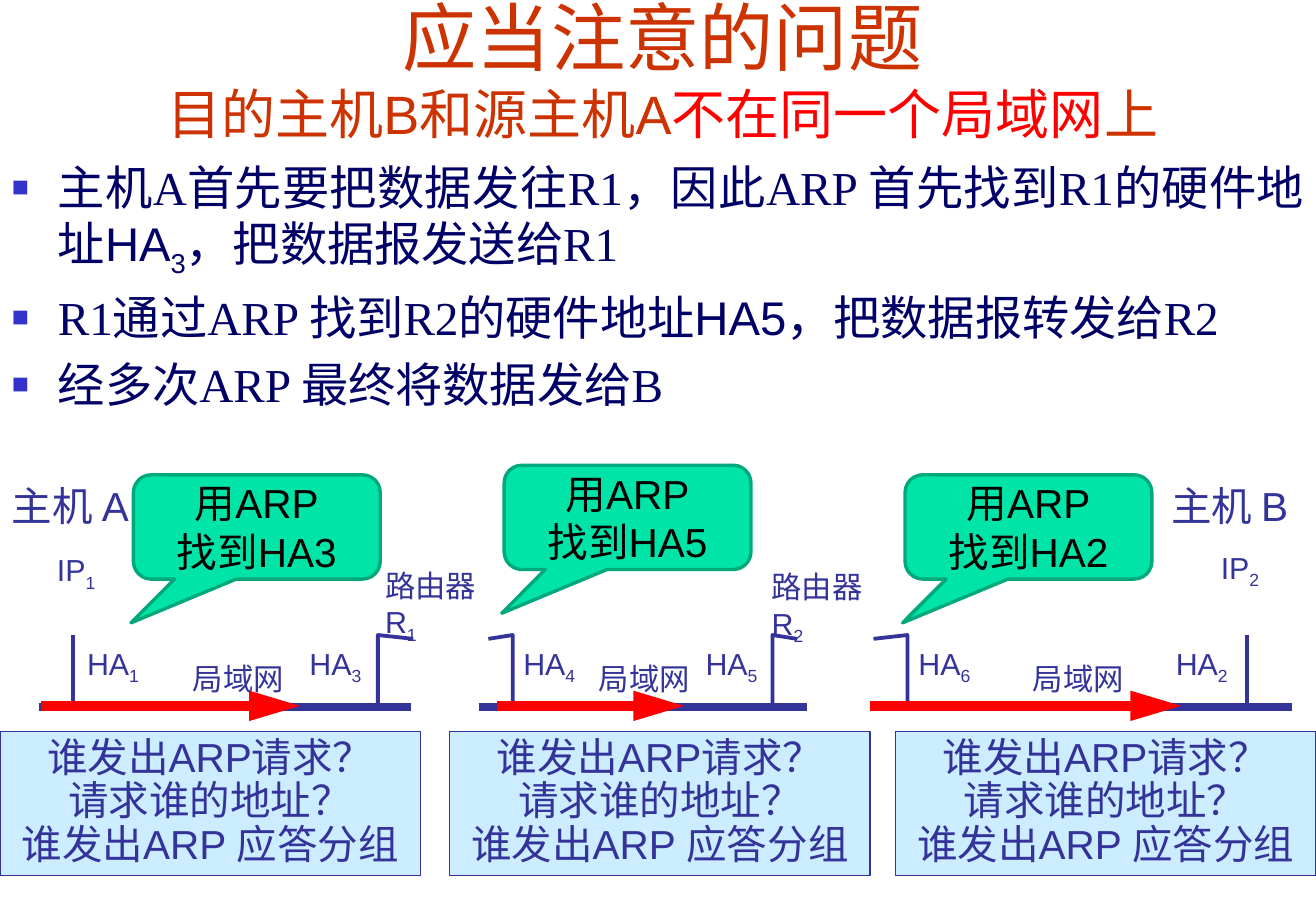
from lxml import etree
from pptx import Presentation
from pptx import util as u
from pptx.dml import color
from pptx.enum import shapes, text
from pptx.oxml import ns

SANS, SERIF = "Arial", "Times New Roman"
INK, NAVY, BRICK, RED = "333399", "000066", "CC3300", "FF0000"
TOP, BUS, FLOW = 13.28, 14.78, 14.76

# start and end of each LAN, of its data arrow, and the left edges of its label and question box
LANS = [
    (0.81, 8.59, 0.86, 6.27, 3.78, 0),
    (10.01, 16.87, 10.39, 14.3, 12.27, 9.4),
    (18.26, 27, 18.19, 24.69, 21.34, 18.72),
]
ROUTER_PORTS = [(7.9, 8.64), (16.15, 16.66), (18.97, 18.26), (10.72, 10.21)]
HOST_STUBS = [1.52, 26.06]
HARDWARE = [("1", 1.57), ("2", 24.33), ("3", 6.22), ("4", 10.69), ("5", 14.5), ("6", 18.95)]
HOSTS = [("主机 A", 0), ("主机 B", 24.23)]
ROUTERS = [("1", 7.8, 11.73), ("2", 15.88, 11.76)]
ADDRESSES = [("1", 0.94, 11.4), ("2", 25.27, 11.35)]
CALLOUTS = [("找到HA3", 2.79, 9.93), ("找到HA5", 10.54, 9.73), ("找到HA2", 18.92, 9.93)]
QUESTIONS = ["谁发出ARP请求？", "请求谁的地址？", "谁发出ARP 应答分组"]
STEPS = [
    [("主机A首先要把数据发往R1，因此ARP 首先找到R1的硬件地址", SERIF), ("HA", SANS),
     ("3", SANS, True), ("，把数据报发送给R1", SERIF)],
    [("R1通过ARP 找到R2的硬件地址", SERIF), ("HA5，", SANS), ("把数据报转发给R2", SERIF)],
    [("经多次ARP 最终将数据发给B", SERIF)],
]


def rgb(code):
    return color.RGBColor.from_string(code)


def lengths(*values):
    return [u.Cm(value) for value in values]


def add_span(para, words, size, tone=INK, face=SANS, sub=False):
    span = para.add_run()
    span.text = words
    span.font.size = u.Pt(size)
    span.font.name = face
    span.font.color.rgb = rgb(tone)
    if sub:
        span._r.get_or_add_rPr().set("baseline", "-25000")


def add_box(page, left, top, width, height, wrap=True):
    box = page.shapes.add_textbox(*lengths(left, top, width, height))
    box.text_frame.word_wrap = wrap
    return box.text_frame


def add_label(page, words, left, top, width, size=18, sub="", wrap=False):
    para = add_box(page, left, top, width, 1.02, wrap).paragraphs[0]
    add_span(para, words, size)
    if sub:
        add_span(para, sub, size, sub=True)


def add_line(page, x1, y1, x2, y2, weight, tone=INK, arrow=False):
    line = page.shapes.add_connector(shapes.MSO_CONNECTOR.STRAIGHT, *lengths(x1, y1, x2, y2))
    line.line.width = u.Pt(weight)
    line.line.color.rgb = rgb(tone)
    if arrow:
        etree.SubElement(line.line._get_or_add_ln(), ns.qn("a:tailEnd"),
                         type="triangle", w="med", len="lg")
    etree.SubElement(line._element.spPr, ns.qn("a:effectLst"))


def add_port(page, x, tip):
    """Draw a router port: a stem up from the bus that bends towards the router."""
    builder = page.shapes.build_freeform(*lengths(x, BUS))
    builder.add_line_segments([lengths(x, TOP), lengths(tip, 13.36)], close=False)
    port = builder.convert_to_shape()
    port.shadow.inherit = False
    port.fill.background()
    port.line.color.rgb = rgb(INK)
    port.line.width = u.Pt(2.25)


def add_panel(page, kind, place, fill, edge, weight, lines, tone, spacing=None):
    panel = page.shapes.add_shape(kind, *lengths(*place))
    panel.shadow.inherit = False
    panel.fill.solid()
    panel.fill.fore_color.rgb = rgb(fill)
    panel.line.color.rgb = rgb(edge)
    panel.line.width = u.Pt(weight)
    frame = panel.text_frame
    frame.word_wrap = True
    frame.margin_left = frame.margin_right = u.Cm(0.1)
    for index, words in enumerate(lines):
        para = frame.add_paragraph() if index else frame.paragraphs[0]
        para.alignment = text.PP_ALIGN.CENTER
        para.line_spacing = spacing
        add_span(para, words, 24, tone)
    return panel


def add_bullet(para):
    props = para._p.get_or_add_pPr()
    props.set("marL", str(u.Cm(0.96)))
    props.set("indent", str(-u.Cm(0.96)))
    tint = etree.SubElement(props, ns.qn("a:buClr"))
    etree.SubElement(tint, ns.qn("a:srgbClr"), val="3333CC")
    etree.SubElement(props, ns.qn("a:buSzPct"), val="60000")
    etree.SubElement(props, ns.qn("a:buFont"), typeface=SANS)
    etree.SubElement(props, ns.qn("a:buChar"), char="■")


def add_title(page):
    frame = add_box(page, 1.5, 0.58, 24.71, 2.59)
    frame.vertical_anchor = text.MSO_ANCHOR.BOTTOM
    para = frame.paragraphs[0]
    para.alignment = text.PP_ALIGN.CENTER
    add_span(para, "应当注意的问题", 44, BRICK)
    para.add_line_break()
    add_span(para, "目的主机B和源主机A", 32, BRICK)
    add_span(para, "不在同一个局域网", 32, RED)
    add_span(para, "上", 32, BRICK)


def add_steps(page):
    frame = add_box(page, 0, 3.18, 27.51, 10.72)
    for index, spans in enumerate(STEPS):
        para = frame.add_paragraph() if index else frame.paragraphs[0]
        add_bullet(para)
        para.alignment = text.PP_ALIGN.JUSTIFY
        if index:
            para.space_before = u.Pt(5.6)
        for words, face, *sub in spans:
            add_span(para, words, 28, NAVY, face, bool(sub))


def add_network(page):
    for x, tip in ROUTER_PORTS:
        add_port(page, x, tip)
    for x in HOST_STUBS:
        add_line(page, x, BUS, x, TOP, 2.25)
    for start, end, *_ in LANS:
        add_line(page, start, BUS, end, BUS, 4.5)
    for number, left in HARDWARE:
        add_label(page, "HA", left, 13.36, 1.65, sub=number)
    for name, left in HOSTS:
        add_label(page, name, left, 9.93, 2.97, size=24, wrap=True)
    for number, left, top in ROUTERS:
        add_label(page, "路由器 R", left, top, 3.1, sub=number, wrap=True)
    for number, left, top in ADDRESSES:
        add_label(page, "IP", left, top, 1.35, sub=number)
    for *_, left, _ in LANS:
        add_label(page, "局域网", left, 13.69, 2.44)
    for _, _, start, end, *_ in LANS:
        add_line(page, start, FLOW, end, FLOW, 6, RED, arrow=True)


def add_remarks(page):
    kinds = shapes.MSO_SHAPE
    for target, left, top in CALLOUTS:
        callout = add_panel(page, kinds.ROUNDED_RECTANGULAR_CALLOUT, (left, top, 5.16, 2.18),
                            "00E4A8", "00A97C", 2, ["用ARP", target], "000000")
        callout.text_frame.vertical_anchor = text.MSO_ANCHOR.MIDDLE
        for index, value in enumerate((-0.51, 0.92, 0.17)):
            callout.adjustments[index] = value
    for *_, left in LANS:
        panel = add_panel(page, kinds.RECTANGLE, (left, 15.29, 8.79, 3.02),
                          "CCECFF", INK, 0.75, QUESTIONS, INK, 0.9)
        panel.text_frame.vertical_anchor = text.MSO_ANCHOR.TOP


def main():
    deck = Presentation()
    deck.slide_width, deck.slide_height = lengths(27.51, 19.05)
    page = deck.slides.add_slide(deck.slide_layouts[6])
    add_title(page)
    add_steps(page)
    add_network(page)
    add_remarks(page)
    deck.save("out.pptx")


if __name__ == "__main__":
    main()
